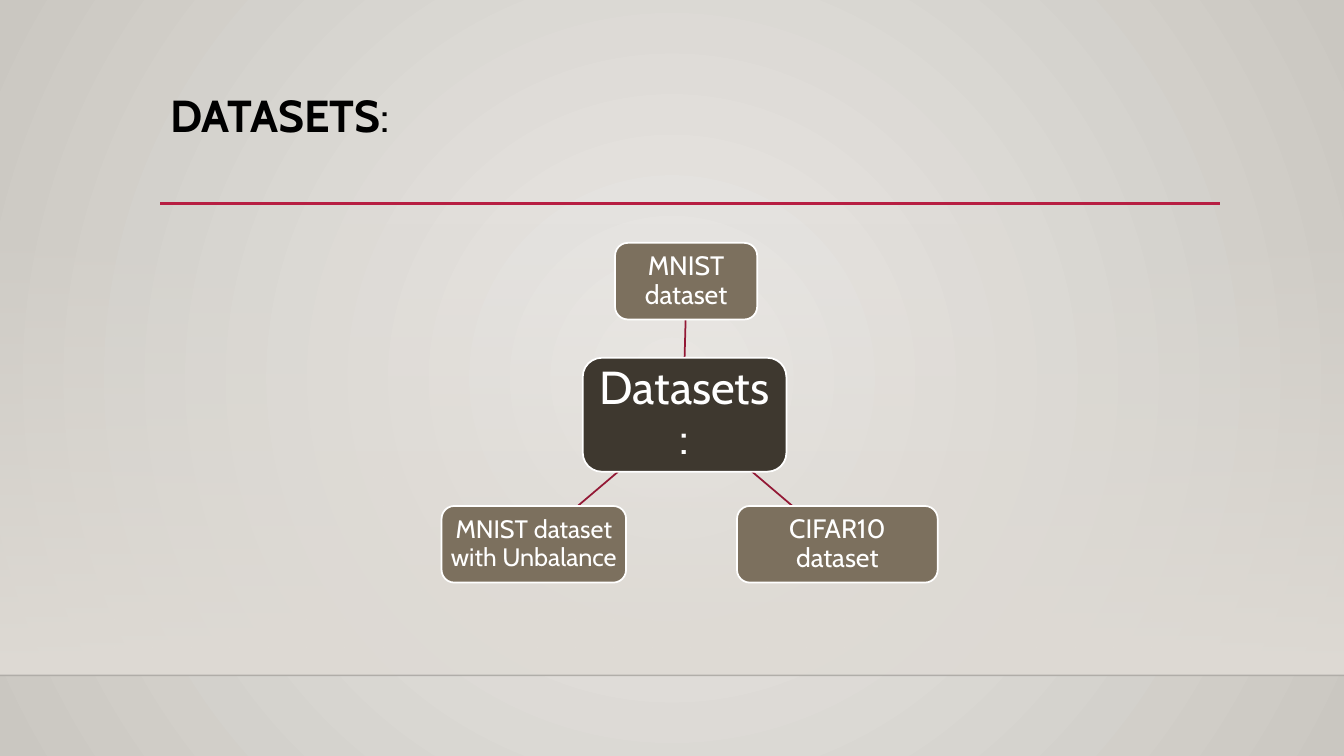
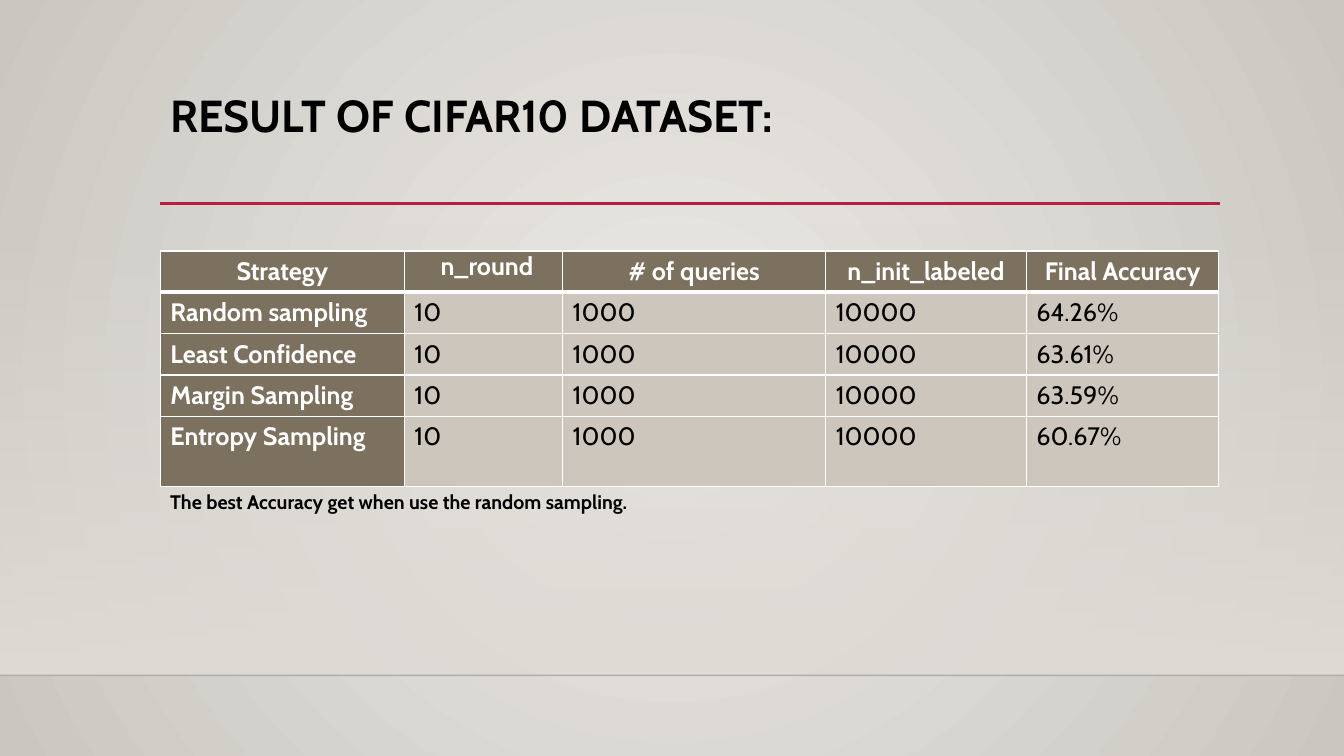
import pptx
import pptx.util
import pptx.dml.color
import pptx.enum.shapes
import pptx.enum.text
import pptx.oxml
import pptx.oxml.ns

Inches, Pt = pptx.util.Inches, pptx.util.Pt
SHAPE = pptx.enum.shapes.MSO_SHAPE
ALIGN = pptx.enum.text.PP_ALIGN
ANCHOR = pptx.enum.text.MSO_ANCHOR
NS = pptx.oxml.ns.nsdecls("a")
qn = pptx.oxml.ns.qn

WIDE, HIGH = 13.33, 7.5
LEFT, SPAN = 1.59, 10.5
FLOOR = 6.7
RULE = 2.02
FONT = "Cabin"
BLACK, WHITE = "000000", "FFFFFF"
RED, WINE, DARK, TAUPE, SAND = "B71E42", "931835", "3E382F", "7C705E", "CCC6BC"
HAZE = "DFDBD5"
CENTRE = ('<a:path %s path="circle"><a:fillToRect l="50000" t="50000" '
          'r="50000" b="50000"/></a:path>' % NS)
DOWN = '<a:lin %s ang="5400000" scaled="0"/>' % NS

# text, box (left, top, width, height), fill, size, inset
NODES = [
    ("Datasets:", (5.78, 3.55, 2.02, 1.13), DARK, 33, 0.09),
    ("MNIST dataset", (6.1, 2.41, 1.41, 0.76), TAUPE, 19, 0.05),
    ("CIFAR10 dataset", (7.31, 5.02, 1.99, 0.76), TAUPE, 19, 0.05),
    ("MNIST dataset with Unbalance", (4.38, 5.02, 1.83, 0.76), TAUPE, 18, 0.05),
]
LINKS = [(6.79, 3.55, 6.8, 3.17), (7.46, 4.68, 7.86, 5.02), (6.13, 4.68, 5.73, 5.02)]

HEADS = ["Strategy", "n_round", "# of queries", "n_init_labeled", "Final Accuracy"]
SCORES = [
    ("Random sampling", "64.26%"),
    ("Least Confidence", "63.61%"),
    ("Margin Sampling", "63.59%"),
    ("Entropy Sampling", "60.67%"),
]
ROWS = [HEADS] + [[name, "10", "1000", "10000", score] for name, score in SCORES]
COLS = [2.42, 1.57, 2.61, 1.99, 1.91]
TALL = [0.41] * 4 + [0.7]


def rgb(code):
    return pptx.dml.color.RGBColor.from_string(code)


def blend(fill, root, colors, path):
    """Give a fill two colour stops and the direction in the XML path."""
    fill.gradient()
    for stop, place, color in zip(fill.gradient_stops, (0, 1), colors):
        stop.position = place
        stop.color.rgb = rgb(color)
    grad = root.find(".//" + qn("a:gradFill"))
    grad.remove(grad.find(qn("a:lin")))
    grad.find(qn("a:gsLst")).addnext(pptx.oxml.parse_xml(path))
    return grad


def fade(root, share):
    """Set the opacity, in percent, of the first plain colour under root."""
    color = root.find(".//" + qn("a:srgbClr"))
    color.append(pptx.oxml.parse_xml('<a:alpha %s val="%d"/>' % (NS, share * 1000)))


def style(frame, runs, size, color, align=ALIGN.LEFT, space=None):
    """Write runs of (text, bold) as one paragraph."""
    para = frame.paragraphs[0]
    para.alignment, para.line_spacing = align, space
    for text, bold in runs:
        run = para.add_run()
        run.text = text
        look = {"name": FONT, "size": Pt(size), "bold": bold}
        for key, value in look.items():
            setattr(run.font, key, value)
        run.font.color.rgb = rgb(color)


def inset(item, size):
    for side in ("left", "right", "top", "bottom"):
        setattr(item, "margin_" + side, Inches(size))


def label(slide, box, runs, size, space=None):
    frame = slide.shapes.add_textbox(*map(Inches, box)).text_frame
    frame.word_wrap = True
    style(frame, runs, size, BLACK, space=space)


def line(slide, ends, color, width):
    kind = pptx.enum.shapes.MSO_CONNECTOR.STRAIGHT
    link = slide.shapes.add_connector(kind, *map(Inches, ends))
    link.line.color.rgb = rgb(color)
    link.line.width = Pt(width)
    link.element.spPr.append(pptx.oxml.parse_xml("<a:effectLst %s/>" % NS))
    return link


def start(deck, runs):
    """Add a slide with the shared band, rules and title."""
    slide = deck.slides.add_slide(deck.slide_layouts[6])
    box = (0, 2.21, WIDE, FLOOR - 2.21)
    band = slide.shapes.add_shape(SHAPE.RECTANGLE, *map(Inches, box))
    band.shadow.inherit = False
    band.line.fill.background()
    fade(blend(band.fill, band.element, (HAZE, HAZE), DOWN), 0)
    edge = line(slide, (0, FLOOR, WIDE, FLOOR), BLACK, 1)
    fade(edge.element, 20)
    line(slide, (LEFT, RULE, 12.1, RULE), RED, 2.5)
    label(slide, (LEFT, 0.88, SPAN, 1.15), runs, 32, 0.9)
    return slide


def node(slide, text, box, color, size, gap):
    shape = slide.shapes.add_shape(SHAPE.ROUNDED_RECTANGLE, *map(Inches, box))
    shape.shadow.inherit = False
    shape.fill.solid()
    shape.fill.fore_color.rgb = rgb(color)
    shape.line.color.rgb = rgb(WHITE)
    shape.line.width = Pt(1.25)
    frame = shape.text_frame
    frame.word_wrap, frame.vertical_anchor = True, ANCHOR.MIDDLE
    inset(frame, gap)
    style(frame, [(text, False)], size, WHITE, ALIGN.CENTER, 0.9)


def border(cell, row):
    """Rule a cell in white, thicker below the heading row."""
    widths = {"L": 1, "R": 1, "T": 3 if row == 1 else 1, "B": 1 if row else 3}
    for spot, (side, width) in enumerate(widths.items()):
        xml = ('<a:ln%s %s w="%d"><a:solidFill><a:srgbClr val="%s"/></a:solidFill>'
               '</a:ln%s>' % (side, NS, Pt(width), WHITE, side))
        cell._tc.get_or_add_tcPr().insert(spot, pptx.oxml.parse_xml(xml))


def grid(slide, top):
    box = (LEFT, top, SPAN, sum(TALL))
    table = slide.shapes.add_table(len(ROWS), len(COLS), *map(Inches, box)).table
    for col, width in zip(table.columns, COLS):
        col.width = Inches(width)
    for r, (texts, height) in enumerate(zip(ROWS, TALL)):
        table.rows[r].height = Inches(height)
        for c, text in enumerate(texts):
            cell = table.cell(r, c)
            head = r == 0 or c == 0
            cell.fill.solid()
            cell.fill.fore_color.rgb = rgb(TAUPE if head else SAND)
            if text == "n_round":
                inset(cell, 0)
                cell.margin_left = Inches(0.07)
            style(cell.text_frame, [(text, head)], 18, WHITE if head else BLACK,
                  ALIGN.LEFT if r else ALIGN.CENTER)
            border(cell, r)


def main():
    deck = pptx.Presentation()
    deck.slide_width, deck.slide_height = Inches(WIDE), Inches(HIGH)
    master = deck.slide_master
    blend(master.background.fill, master.element, ("ECEAE7", "CAC7C1"), CENTRE)

    slide = start(deck, [("DATASETS", True), (":", False)])
    for ends in LINKS:
        line(slide, ends, WINE, 1.25)
    for item in NODES:
        node(slide, *item)

    slide = start(deck, [("RESULT OF CIFAR10 DATASET:", True)])
    grid(slide, 2.49)
    note = "The best Accuracy get when use the random sampling."
    label(slide, (LEFT, 4.81, SPAN, 0.34), [(note, True)], 14)

    deck.save("out.pptx")


if __name__ == "__main__":
    main()
